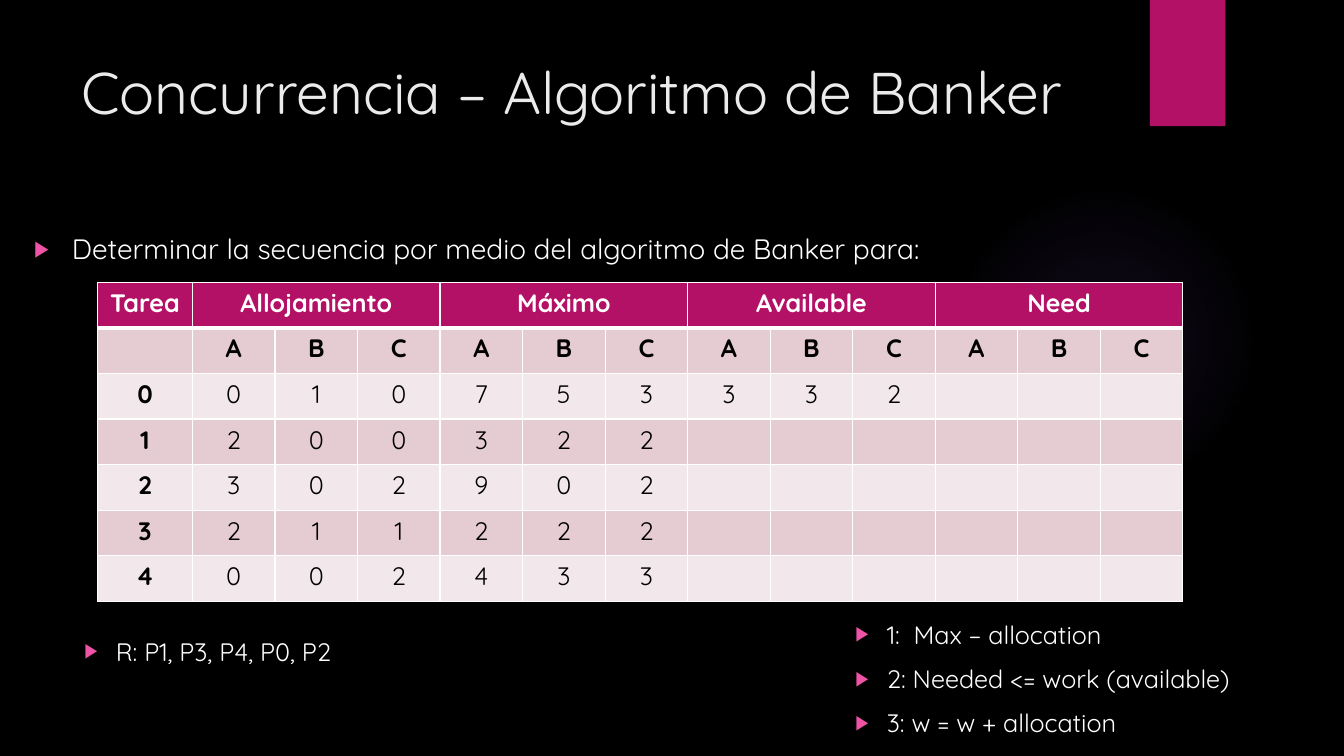
from lxml import etree
from pptx import Presentation
from pptx.dml.color import RGBColor
from pptx.enum.shapes import MSO_SHAPE
from pptx.enum.text import PP_ALIGN
from pptx.oxml.ns import qn
from pptx.util import Cm, Pt

OVAL, RECTANGLE = MSO_SHAPE.OVAL, MSO_SHAPE.RECTANGLE
LEFT, CENTER = PP_ALIGN.LEFT, PP_ALIGN.CENTER

# Content
TITLE = "Concurrencia – Algoritmo de Banker"
TASK = "Determinar la secuencia por medio del algoritmo de Banker para:"
ANSWER = "R: P1, P3, P4, P0, P2"
STEPS = [
    "1:  Max – allocation",
    "2: Needed <= work (available)",
    "3: w = w + allocation",
]
CORNER = "Tarea"
GROUPS = ["Allojamiento", "Máximo", "Available", "Need"]
RESOURCES = ["A", "B", "C"]
TASK_VALUES = [
    [0, 1, 0, 7, 5, 3, 3, 3, 2],
    [2, 0, 0, 3, 2, 2],
    [3, 0, 2, 9, 0, 2],
    [2, 1, 1, 2, 2, 2],
    [0, 0, 2, 4, 3, 3],
]

# Style
FONT = "Quicksand"
BLACK = RGBColor(0x00, 0x00, 0x00)
WHITE = RGBColor(0xFF, 0xFF, 0xFF)
TITLE_GREY = RGBColor(0xEB, 0xEB, 0xEB)
MAGENTA = RGBColor(0xB3, 0x11, 0x66)
PINK = RGBColor(0xEF, 0x53, 0xA5)
VIOLET = RGBColor(0x9B, 0x6B, 0xF2)
BANDS = [RGBColor(0xE5, 0xCC, 0xD3), RGBColor(0xF2, 0xE7, 0xEA)]
GLOW_STOPS = [(0, 7), (36, 6), (69, 0)]  # position and opacity, in percent
OUTER_INDENT = (Cm(0.95), Cm(-0.95))
INNER_INDENT = (Cm(2.06), Cm(-0.79))
TASK_COLUMN, VALUE_COLUMN, ROW_HEIGHT = Cm(2.39), Cm(2.08), Cm(1.15)
THIN, THICK = Pt(1), Pt(3)


def add_xml(parent, tag, **attributes):
    child = etree.SubElement(parent, qn(tag))
    for key, value in attributes.items():
        child.set(key, str(value))
    return child


def write(paragraph, text, size=18, color=WHITE, bold=False, align=LEFT, indent=None, before=0):
    if indent:
        properties = paragraph._p.get_or_add_pPr()
        properties.set("marL", str(indent[0]))
        properties.set("indent", str(indent[1]))
        add_xml(add_xml(properties, "a:buClr"), "a:srgbClr", val=PINK)
        add_xml(properties, "a:buSzPct", val=80000)
        add_xml(properties, "a:buFont", typeface="Arial")
        add_xml(properties, "a:buChar", char="▶")
    paragraph.alignment = align
    if before:
        paragraph.space_before = Pt(before)
    run = paragraph.add_run()
    run.text = text
    run.font.name = FONT
    run.font.size = Pt(size)
    run.font.bold = bold
    run.font.color.rgb = color


def add_lines(slide, box, lines, **style):
    frame = slide.shapes.add_textbox(*box).text_frame
    frame.word_wrap = True
    for i, line in enumerate(lines):
        paragraph = frame.add_paragraph() if i else frame.paragraphs[0]
        write(paragraph, line, before=10 if i else 0, **style)


def add_plain_shape(slide, kind, box, color):
    shape = slide.shapes.add_shape(kind, *box)
    shape.shadow.inherit = False
    shape.fill.solid()
    shape.fill.fore_color.rgb = color
    shape.line.fill.background()
    return shape


def make_glow(shape):
    solid = shape._element.spPr.find(qn("a:solidFill"))
    gradient = etree.Element(qn("a:gradFill"), rotWithShape="1")
    stops = add_xml(gradient, "a:gsLst")
    for position, opacity in GLOW_STOPS:
        stop = add_xml(stops, "a:gs", pos=position * 1000)
        color = add_xml(stop, "a:srgbClr", val=VIOLET)
        add_xml(color, "a:alpha", val=opacity * 1000)
    circle = add_xml(gradient, "a:path", path="circle")
    add_xml(circle, "a:fillToRect", l=50000, t=50000, r=50000, b=50000)
    solid.getparent().replace(solid, gradient)


def format_cell(cell, fill, top=THIN, bottom=THIN):
    properties = cell._tc.get_or_add_tcPr()
    for side, width in (("L", THIN), ("R", THIN), ("T", top), ("B", bottom)):
        line = add_xml(properties, f"a:ln{side}", w=width)
        add_xml(add_xml(line, "a:solidFill"), "a:srgbClr", val=WHITE)
    cell.fill.solid()
    cell.fill.fore_color.rgb = fill


def add_allocation_table(slide):
    span = len(RESOURCES)
    header = [CORNER]
    for group in GROUPS:
        header += [group] + [""] * (span - 1)
    rows = [header, [""] + RESOURCES * len(GROUPS)]
    for number, values in enumerate(TASK_VALUES):
        padding = [""] * (len(header) - 1 - len(values))
        rows.append([str(number), *map(str, values), *padding])

    width = TASK_COLUMN + VALUE_COLUMN * (len(header) - 1)
    table = slide.shapes.add_table(
        len(rows), len(header), Cm(2.46), Cm(7.11), width, ROW_HEIGHT * len(rows)
    ).table
    table.first_row = table.horz_banding = False
    for c, column in enumerate(table.columns):
        column.width = VALUE_COLUMN if c else TASK_COLUMN
    for r, row in enumerate(rows):
        table.rows[r].height = ROW_HEIGHT
        for c, text in enumerate(row):
            cell = table.cell(r, c)
            format_cell(
                cell,
                BANDS[(r - 1) % 2] if r else MAGENTA,
                top=THICK if r == 1 else THIN,
                bottom=THICK if r == 0 else THIN,
            )
            if text:
                write(cell.text_frame.paragraphs[0], text, align=CENTER,
                      color=BLACK if r else WHITE, bold=r < 2 or c == 0)
    for first in range(1, len(header), span):
        table.cell(0, first).merge(table.cell(0, first + span - 1))


def main():
    presentation = Presentation()
    presentation.slide_width, presentation.slide_height = Cm(33.87), Cm(19.05)
    slide = presentation.slides.add_slide(presentation.slide_layouts[6])

    # Backdrop
    slide.background.fill.solid()
    slide.background.fill.fore_color.rgb = BLACK
    glow_box = (Cm(23.9), Cm(4.65), Cm(7.82), Cm(7.82))
    make_glow(add_plain_shape(slide, OVAL, glow_box, VIOLET))
    add_plain_shape(slide, RECTANGLE, (Cm(28.98), Cm(0), Cm(1.9), Cm(3.18)), MAGENTA)

    # Title and task
    add_lines(slide, (Cm(1.8), Cm(1.27), Cm(26.14), Cm(3.89)), [TITLE],
              size=42, color=TITLE_GREY)
    add_lines(slide, (Cm(0.61), Cm(5.72), Cm(32.41), Cm(1.2)), [TASK],
              size=20, indent=OUTER_INDENT)

    # Table, answer and steps
    add_allocation_table(slide)
    add_lines(slide, (Cm(0.61), Cm(15.9), Cm(18), Cm(1.1)), [ANSWER], indent=INNER_INDENT)
    add_lines(slide, (Cm(20.04), Cm(15.47), Cm(12.98), Cm(3.3)), STEPS, indent=INNER_INDENT)

    presentation.save("out.pptx")


if __name__ == "__main__":
    main()
